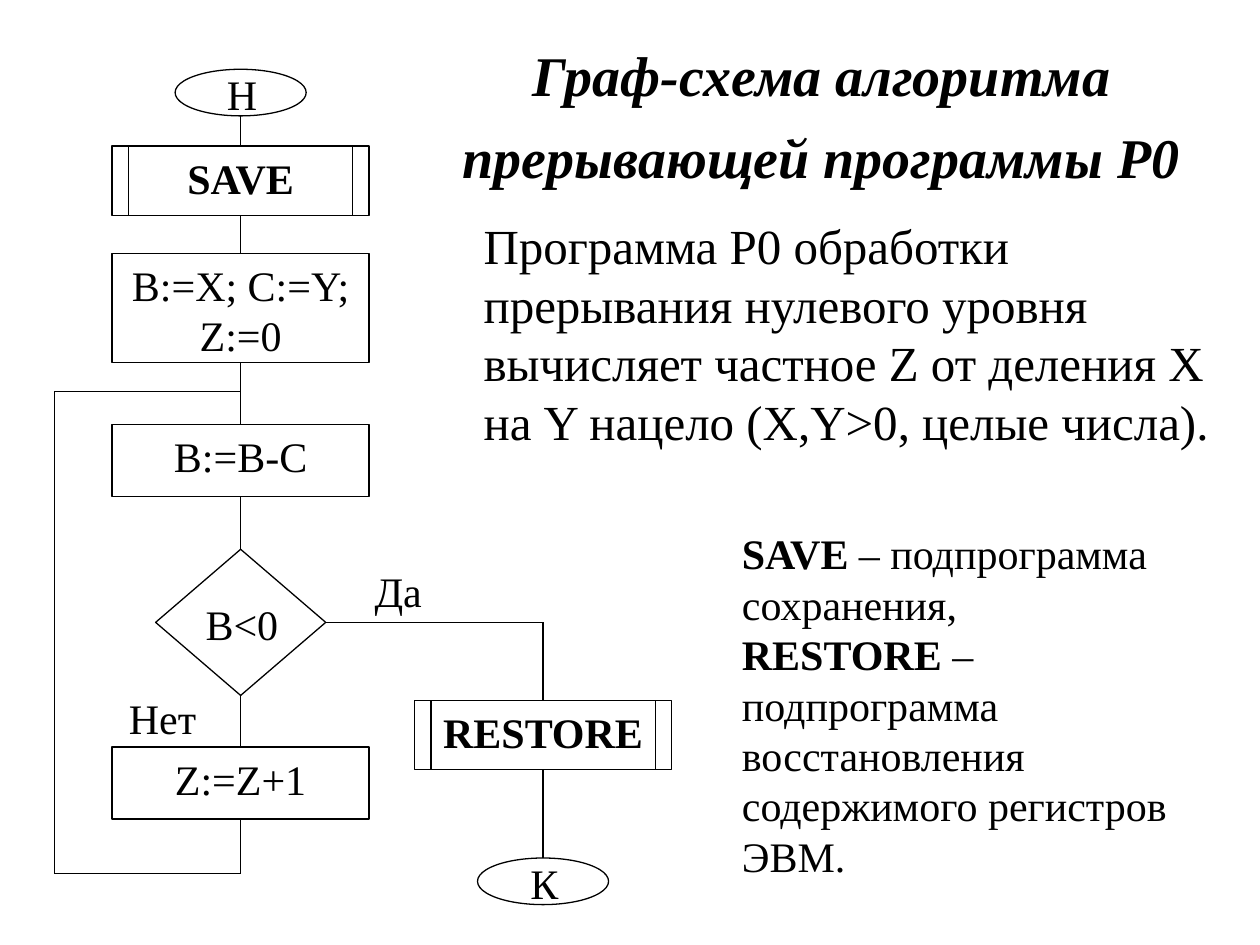
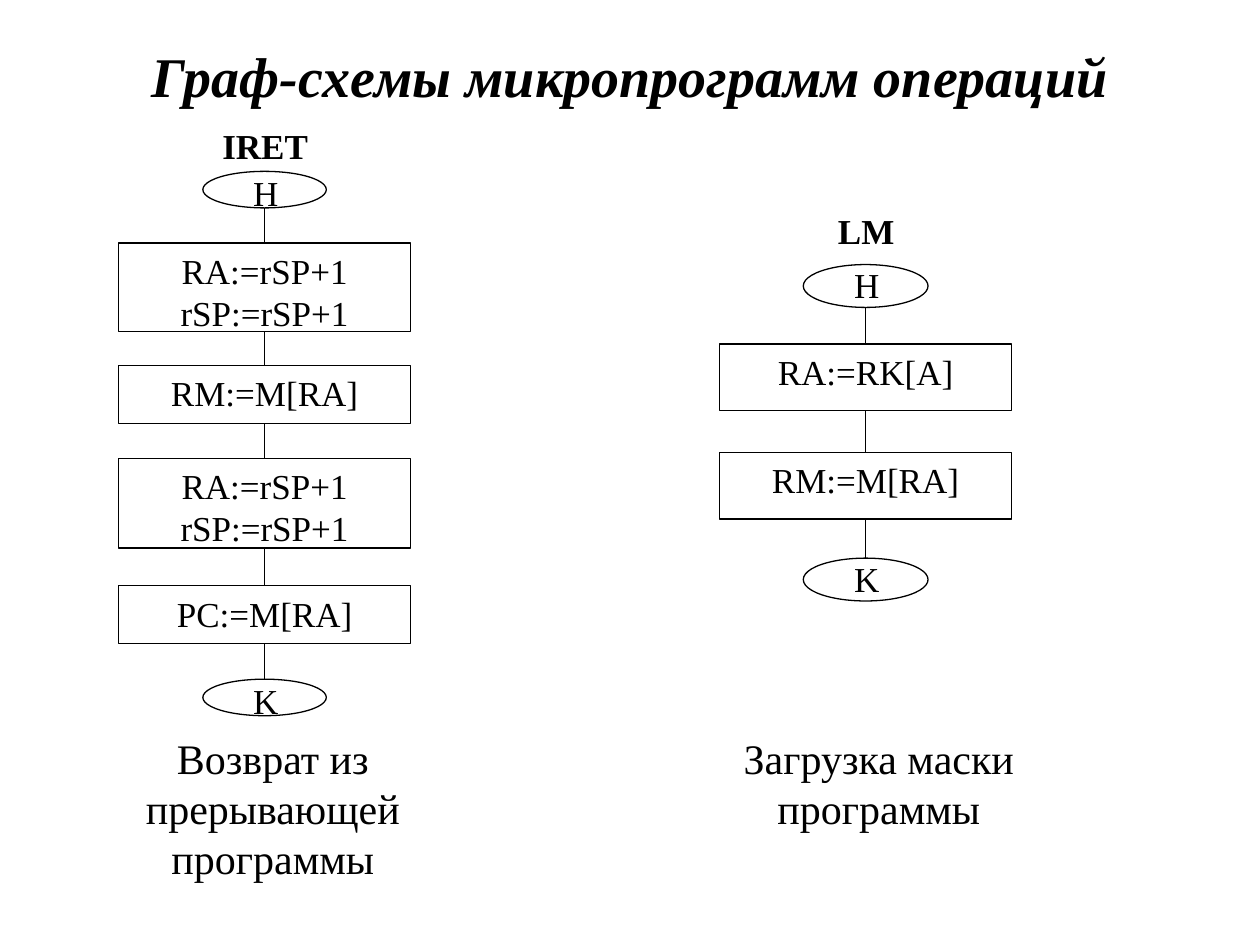
from lxml.etree import SubElement
from pptx import Presentation
from pptx.dml.color import RGBColor
from pptx.enum.shapes import MSO_CONNECTOR, MSO_SHAPE
from pptx.enum.text import MSO_ANCHOR, MSO_AUTO_SIZE, PP_ALIGN
from pptx.oxml.ns import qn
from pptx.util import Inches, Pt

COLORS = {"ink": "000000", "paper": "FFFFFF"}
FONT = "Times New Roman"
TOP, LEFT, BOTTOM, RIGHT = range(4)
NBSP = chr(160)
KINDS = {
    "oval": MSO_SHAPE.OVAL,
    "block": MSO_SHAPE.RECTANGLE,
    "routine": MSO_SHAPE.RECTANGLE,
    "choice": MSO_SHAPE.DIAMOND,
}

MAIN, EXIT = 1.91, 4.31
INTERRUPT_NODES = {
    "start": ("oval", MAIN, 0.55, 1.04, 0.37, "Н"),
    "save": ("routine", MAIN, 1.16, 2.04, 0.55, "SAVE"),
    "init": ("block", MAIN, 2.01, 2.04, 0.87, "B:=X; C:=Y;\nZ:=0"),
    "subtract": ("block", MAIN, 3.37, 2.04, 0.57, "B:=B-C"),
    "test": ("choice", MAIN, 4.36, 1.35, 1.16, "B<0"),
    "count": ("block", MAIN, 5.93, 2.04, 0.57, "Z:=Z+1"),
    "restore": ("routine", EXIT, 5.56, 2.04, 0.55, "RESTORE"),
    "end": ("oval", EXIT, 6.81, 1.04, 0.37, "К"),
}
MAIN_CHAIN = ["start", "save", "init", "subtract", "test", "count"]
EXIT_CHAIN = ["restore", "end"]
BRANCH_CORNER = (EXIT, 4.94)
LOOP_CORNERS = [(MAIN, 6.93), (0.43, 6.93), (0.43, 3.11), (MAIN, 3.11)]
BRANCH_LABELS = [("Да", 2.47, 4.44), ("Нет", 0.6, 5.45)]
PURPOSE = (
    "Программа P0 обработки прерывания нулевого уровня вычисляет частное Z "
    "от деления X на Y нацело (X,Y>0, целые числа)."
)
ROUTINES = [
    ("SAVE", True),
    (NBSP + "– подпрограмма сохранения, ", False),
    ("RESTORE", True),
    (NBSP + "– подпрограмма восстановления содержимого регистров ЭВМ.", False),
]

IRET_X, LM_X = 2.1, 6.87
STEP = "RA:=rSP+1\nrSP:=rSP+1"
MICROPROGRAMS = [
    {
        "name": "IRET", "center": IRET_X, "name_top": 0.94, "label_height": 0.4,
        "caption": "Возврат из прерывающей программы", "caption_at": (0.47, 5.86),
        "nodes": {
            "start": ("oval", IRET_X, 1.36, 0.98, 0.29, "Н"),
            "first_step": ("block", IRET_X, 1.93, 2.32, 0.7, STEP),
            "read": ("block", IRET_X, 2.9, 2.32, 0.46, "RM:=M[RA]"),
            "second_step": ("block", IRET_X, 3.64, 2.32, 0.71, STEP),
            "jump": ("block", IRET_X, 4.65, 2.32, 0.46, "PC:=M[RA]"),
            "end": ("oval", IRET_X, 5.39, 0.98, 0.29, "K"),
        },
    },
    {
        "name": "LM", "center": LM_X, "name_top": 1.61, "label_height": 0.47,
        "caption": "Загрузка маски программы", "caption_at": (5.28, 5.66),
        "nodes": {
            "start": ("oval", LM_X, 2.1, 0.99, 0.34, "Н"),
            "address": ("block", LM_X, 2.73, 2.32, 0.53, "RA:=RK[A]"),
            "read": ("block", LM_X, 3.59, 2.32, 0.53, "RM:=M[RA]"),
            "end": ("oval", LM_X, 4.43, 0.99, 0.34, "K"),
        },
    },
]


def color(name):
    return RGBColor.from_string(COLORS[name])


def style(frame, size, bold=None, italic=False, align=PP_ALIGN.CENTER, anchor=MSO_ANCHOR.TOP):
    frame.word_wrap = True
    frame.vertical_anchor = anchor
    for para in frame.paragraphs:
        para.alignment = align
        for span in para.runs:
            span.font.name = FONT
            span.font.size = Pt(size)
            span.font.color.rgb = color("ink")
            span.font.italic = italic
            if bold is not None:
                span.font.bold = bold


def add_text(page, text, left, top, width, height, size, **look):
    box = page.shapes.add_textbox(Inches(left), Inches(top), Inches(width), Inches(height))
    frame = box.text_frame
    if isinstance(text, str):
        frame.text = text
    else:
        for words, bold in text:
            span = frame.paragraphs[0].add_run()
            span.text = words
            span.font.bold = bold
    style(frame, size, **look)
    return frame


def add_title(page, text, left, top, width, height):
    return add_text(page, text, left, top, width, height, 32,
                    bold=True, italic=True, anchor=MSO_ANCHOR.MIDDLE)


def add_line(page, start, end):
    ends = [Inches(value) for point in (start, end) for value in point]
    line = page.shapes.add_connector(MSO_CONNECTOR.STRAIGHT, *ends)
    line.line.color.rgb = color("ink")
    line.line.width = Pt(0.75)
    SubElement(line._element.spPr, qn("a:effectLst"))
    return line


def add_node(page, node, size, label_width, label_height):
    kind, center, top, width, height, text = node
    left = center - width / 2
    shape = page.shapes.add_shape(
        KINDS[kind], Inches(left), Inches(top), Inches(width), Inches(height))
    shape.shadow.inherit = False
    shape.fill.background()
    shape.line.color.rgb = color("ink")
    shape.line.width = Pt(0.75)
    if kind in ("oval", "choice"):
        label_top = top + (height - label_height) / 2 + 0.01
        add_text(page, text, center - label_width / 2 + 0.01, label_top,
                 label_width, label_height, size)
    else:
        shape.text_frame.text = text
        style(shape.text_frame, size, bold=kind == "routine")
    if kind == "routine":
        for x in (left + 0.13, left + width - 0.13):
            add_line(page, (x, top), (x, top + height))
    return shape


def side_point(node, side):
    kind, center, top, width, height, text = node
    return {
        TOP: (center, top),
        LEFT: (center - width / 2, top + height / 2),
        BOTTOM: (center, top + height),
        RIGHT: (center + width / 2, top + height / 2),
    }[side]


class Flowchart:
    def __init__(self, page, nodes, size, label_width, label_height):
        self.page = page
        self.nodes = nodes
        self.shapes = {name: add_node(page, node, size, label_width, label_height)
                       for name, node in nodes.items()}

    def link(self, start, end):
        joints = (start, end)
        points = [side_point(self.nodes[joint[0]], joint[1])
                  if isinstance(joint[0], str) else joint for joint in joints]
        line = add_line(self.page, *points)
        for joint, connect in zip(joints, (line.begin_connect, line.end_connect)):
            if isinstance(joint[0], str) and self.nodes[joint[0]][0] != "oval":
                connect(self.shapes[joint[0]], joint[1])

    def chain(self, names):
        for upper, lower in zip(names, names[1:]):
            self.link((upper, BOTTOM), (lower, TOP))


def build_interrupt_page(page):
    title = add_title(page, "Граф-схема алгоритма прерывающей программы P0", 3.25, 0.23, 6.54, 1.25)
    title.paragraphs[0].line_spacing = Pt(47)
    chart = Flowchart(page, INTERRUPT_NODES, 24, 1.38, 0.5)
    chart.chain(MAIN_CHAIN)
    chart.chain(EXIT_CHAIN)
    chart.link(("test", RIGHT), BRANCH_CORNER)
    chart.link(BRANCH_CORNER, ("restore", TOP))
    chart.link(("count", BOTTOM), LOOP_CORNERS[0])
    for start, end in zip(LOOP_CORNERS, LOOP_CORNERS[1:]):
        chart.link(start, end)
    for text, left, top in BRANCH_LABELS:
        add_text(page, text, left, top, 1.38, 0.5, 24)
    for text, place, size in ((PURPOSE, (3.74, 1.66, 6.1, 1.97), 28),
                              (ROUTINES, (5.79, 4.14, 3.66, 2.9), 24)):
        frame = add_text(page, text, *place, size, align=PP_ALIGN.LEFT)
        frame.auto_size = MSO_AUTO_SIZE.SHAPE_TO_FIT_TEXT


def build_microprogram_page(page):
    add_title(page, "Граф-схемы микропрограмм операций", 0.5, 0.13, 9, 0.93)
    for program in MICROPROGRAMS:
        height = program["label_height"]
        add_text(page, program["name"], program["center"] - 0.65, program["name_top"],
                 1.31, height, 20, bold=True)
        chart = Flowchart(page, program["nodes"], 20, 1.31, height)
        chart.chain(list(program["nodes"]))
        add_text(page, program["caption"], *program["caption_at"], 3.39, 1.1, 24,
                 anchor=MSO_ANCHOR.MIDDLE)


def main():
    deck = Presentation()
    deck.slide_width, deck.slide_height = Inches(10), Inches(7.5)
    for build in (build_interrupt_page, build_microprogram_page):
        page = deck.slides.add_slide(deck.slide_layouts[6])
        page.background.fill.solid()
        page.background.fill.fore_color.rgb = color("paper")
        build(page)
    deck.save("out.pptx")


if __name__ == "__main__":
    main()
